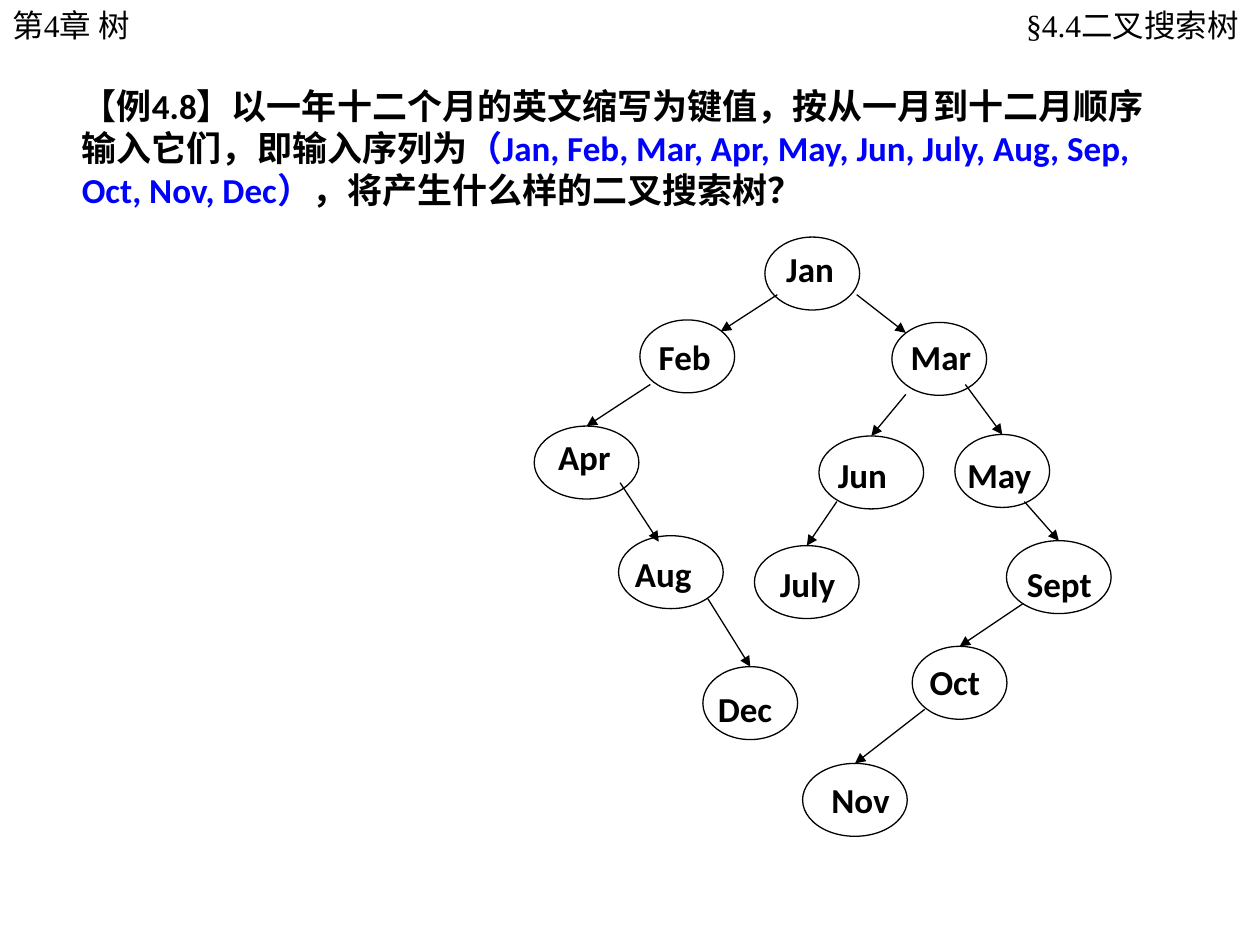
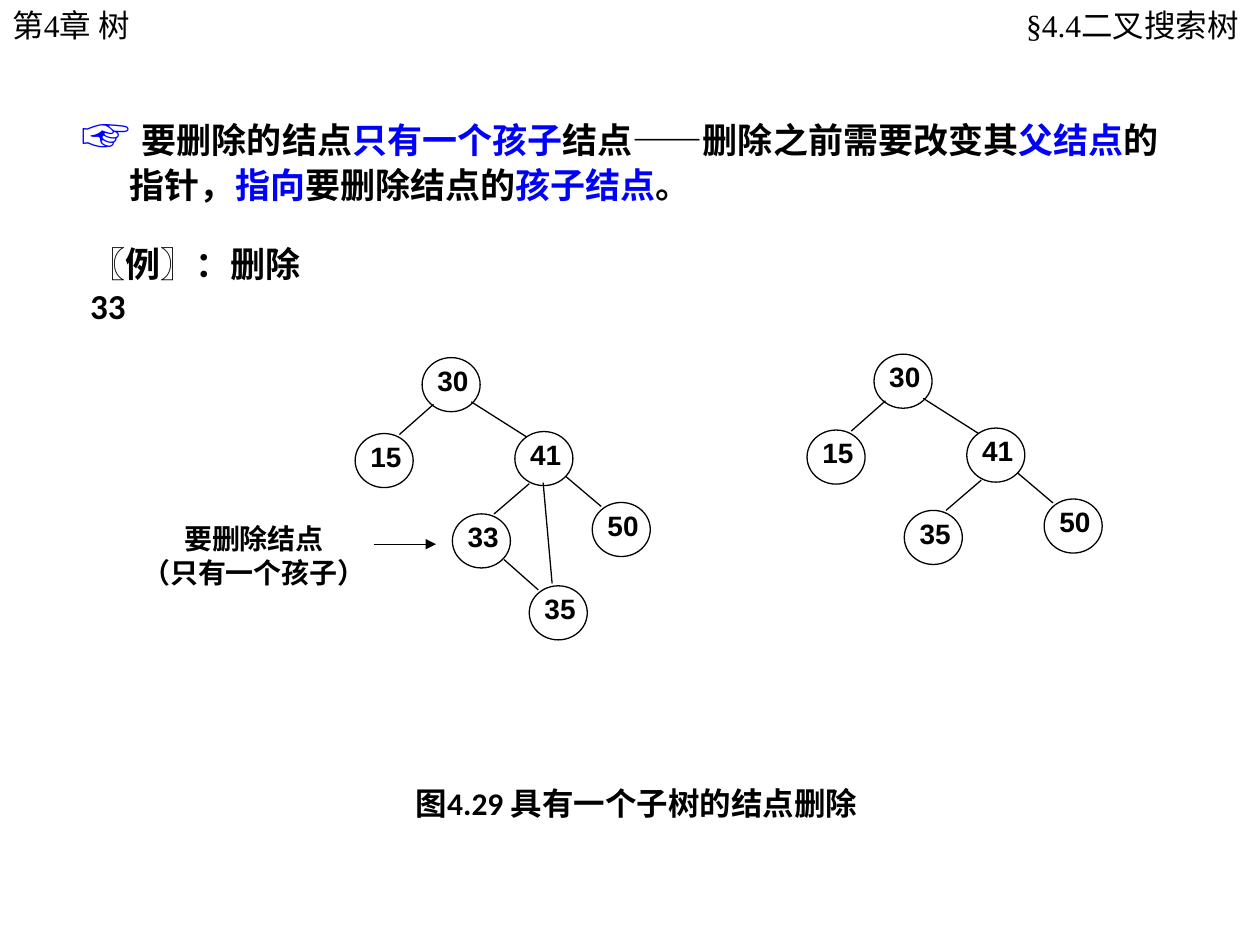
from lxml import etree
from pptx import Presentation
from pptx import util as u
from pptx.dml.color import RGBColor
from pptx.enum import shapes, text
from pptx.oxml import ns

BLACK, BLUE, WHITE = "000000", "0000FF", "FFFFFF"
LEFT, CENTER, RIGHT = text.PP_ALIGN.LEFT, text.PP_ALIGN.CENTER, text.PP_ALIGN.RIGHT
NO_INSET = (0, 0, 0, 0)

MONTH_HEIGHT, MONTH_LABEL_HEIGHT = 1.47, 1.12
MONTHS = [
    ("Jan", (15.42, 4.78, 1.91), (15.6, 4.85, 1.63), None, None),
    ("Feb", (12.9, 6.45, 1.91), (13.03, 6.63, 1.65), (15.67, 5.94), (14.53, 6.68)),
    ("Apr", (10.77, 8.59, 2.11), (11, 8.64, 1.75), (13.11, 7.75), None),
    ("Mar", (17.98, 6.5, 1.91), (18.11, 6.63, 1.85), (17.27, 5.94), (18.26, 6.71)),
    ("Jun", (16.51, 8.79, 2.11), (16.64, 9.02, 1.65), (18.26, 7.95), None),
    ("May", (19.25, 8.76, 1.91), (19.25, 9.02, 1.91), (19.46, 7.75), None),
    ("Dec", (14.17, 13.44, 1.91), (14.22, 13.72, 1.65), (14.27, 12.07), None),
    ("Oct", (18.39, 13.03, 1.91), (18.49, 13.18, 1.63), (20.62, 12.17), None),
    ("Sept", (20.29, 10.9, 2.11), (20.45, 11.2, 1.85), (20.65, 10.11), None),
    ("July", (15.21, 11, 2.11), (15.47, 11.2, 1.83), (16.87, 10.11), None),
    ("Aug", (12.47, 10.8, 2.11), (12.55, 11, 1.78), (12.5, 9.73), (13.28, 10.92)),
    ("Nov", (16.18, 15.39, 2.11), (16.51, 15.57, 1.75), (18.64, 14.3), None),
]

TREE_NODES = [("30", 8.51, 7.21), ("15", 7.16, 8.74), ("41", 10.38, 8.7), ("50", 11.94, 10.13)]
TREE_EDGES = [
    ((9.5, 8.1), (10.62, 8.81)),
    ((11.4, 9.6), (12.12, 10.21)),
    ((8.74, 8.15), (8.05, 8.76)),
    ((10.67, 9.75), (9.96, 10.36)),
]
INNER_CHILD = (9.12, 10.36)
TREE_SHIFT = (9.11, -0.07)


def color(value):
    return RGBColor.from_string(value)


def add_span(para, words, font="Calibri", size=20, ink=BLACK, bold=True):
    span = para.add_run()
    span.text = words
    span.font.name = font
    span.font.size = u.Pt(size)
    span.font.bold = bold
    span.font.color.rgb = color(ink)


class Slides:
    def __init__(self):
        self.deck = Presentation()
        self.deck.slide_width = u.Cm(25.4)
        self.deck.slide_height = u.Cm(19.05)
        self.page = None

    def new_page(self):
        self.page = self.deck.slides.add_slide(self.deck.slide_layouts[6])
        header = dict(font="Times New Roman", size=18, bold=False)
        self.text(["第4章 树"], 0, 0, 5.31, 1.02, **header)
        self.text(["§4.4二叉搜索树"], 15.7, 0, 9.68, 1.02, align=RIGHT,
                  inset=(0.3, 0.13, 0.41, 0.13), **header)

    def text(self, lines, left, top, width, height, align=LEFT, inset=(0.25, 0.13, 0.25, 0.13),
             spacing=None, hanging=0, **style):
        box = self.page.shapes.add_textbox(u.Cm(left), u.Cm(top), u.Cm(width), u.Cm(height))
        frame = box.text_frame
        frame.word_wrap = True
        frame.margin_left, frame.margin_top, frame.margin_right, frame.margin_bottom = map(u.Cm, inset)
        for index, line in enumerate(lines):
            para = frame.add_paragraph() if index else frame.paragraphs[0]
            para.alignment = align
            if spacing:
                para.line_spacing = spacing
            if hanging:
                properties = para._p.get_or_add_pPr()
                properties.set("marL", str(u.Cm(hanging)))
                properties.set("indent", str(-u.Cm(hanging)))
            spans = [(line, {})] if isinstance(line, str) else line
            for words, changes in spans:
                add_span(para, words, **{**style, **changes})

    def ellipse(self, left, top, width, height, fill=None):
        oval = self.page.shapes.add_shape(
            shapes.MSO_SHAPE.OVAL, u.Cm(left), u.Cm(top), u.Cm(width), u.Cm(height))
        oval.shadow.inherit = False
        if fill:
            oval.fill.solid()
            oval.fill.fore_color.rgb = color(fill)
        else:
            oval.fill.background()
        oval.line.color.rgb = color(BLACK)
        oval.line.width = u.Pt(0.75)
        return oval

    def line(self, start, end, arrow=False, target=None):
        edge = self.page.shapes.add_connector(
            shapes.MSO_CONNECTOR.STRAIGHT, *map(u.Cm, (*start, *end)))
        if target is not None:
            edge.end_connect(target, 0)
        edge.line.color.rgb = color(BLACK)
        edge.line.width = u.Pt(0.75)
        if arrow:
            etree.SubElement(edge.line._get_or_add_ln(), ns.qn("a:tailEnd"), type="triangle")
        etree.SubElement(edge._element.spPr, ns.qn("a:effectLst"))

    def month(self, name, oval_at, label_at, start, end):
        left, top, width = oval_at
        oval = self.ellipse(left, top, width, MONTH_HEIGHT)
        if start and end:
            self.line(start, end, arrow=True)
        elif start:
            self.line(start, (left + width / 2, top), arrow=True, target=oval)
        self.text([name], *label_at, MONTH_LABEL_HEIGHT)

    def number(self, value, left, top):
        self.ellipse(left, top, 1.17, 1.09, fill=WHITE)
        self.text([value], left + 0.3, top + 0.16, 0.64, 0.64, align=CENTER,
                  inset=NO_INSET, spacing=0.96, font="Arial", size=16)

    def tree(self, inner_child, shift=(0, 0)):
        across, down = shift
        for value, left, top in TREE_NODES + [(inner_child, *INNER_CHILD)]:
            self.number(value, left + across, top + down)
        for edge in TREE_EDGES:
            self.line(*((x + across, y + down) for x, y in edge))


def build_months(slides):
    slides.new_page()
    slides.text([[
        ("【例4.8】以一年十二个月的英文缩写为键值，按从一月到十二月顺序输入它们，即输入序列为", {}),
        ("（Jan, Feb, Mar, Apr, May, Jun, July, Aug, Sep, Oct, Nov, Dec）", {"ink": BLUE}),
        ("，将产生什么样的二叉搜索树？", {}),
    ]], 1.4, 1.57, 22.33, 2.82)
    for month in MONTHS:
        slides.month(*month)


def build_deletion(slides):
    slides.new_page()
    blue = {"ink": BLUE}
    slides.text([[
        ("☞ ", {"ink": BLUE, "size": 28}),
        ("要删除的结点", {}),
        ("只有一个孩子", blue),
        ("结点——删除之前需要改变其", {}),
        ("父结点", blue),
        ("的指针，", {}),
        ("指向", blue),
        ("要删除结点的", {}),
        ("孩子结点", blue),
        ("。", {}),
    ]], 1.4, 1.98, 22.63, 2.31, hanging=0.97)
    slides.text(["〖例〗：删除 33"], 1.57, 4.75, 5.6, 1.12)
    slides.text(["要删除结点", [("（只有一个孩子）", {"font": "Arial"})]], 2.77, 10.52, 4.7, 1.22,
                align=CENTER, inset=NO_INSET, font="Noto Sans CJK SC", size=16)
    slides.line((7.54, 10.97), (8.79, 10.97), arrow=True)
    slides.tree("33")
    slides.number("35", 10.67, 11.81)
    slides.line((10.16, 11.28), (10.85, 11.89))
    slides.line((10.95, 9.73), (11.13, 11.76))
    slides.tree("35", TREE_SHIFT)
    slides.text(["图4.29 具有一个子树的结点删除"], 8.13, 15.67, 9.5, 1.02, size=18)


def main():
    slides = Slides()
    build_months(slides)
    build_deletion(slides)
    slides.deck.save("out.pptx")


if __name__ == "__main__":
    main()
